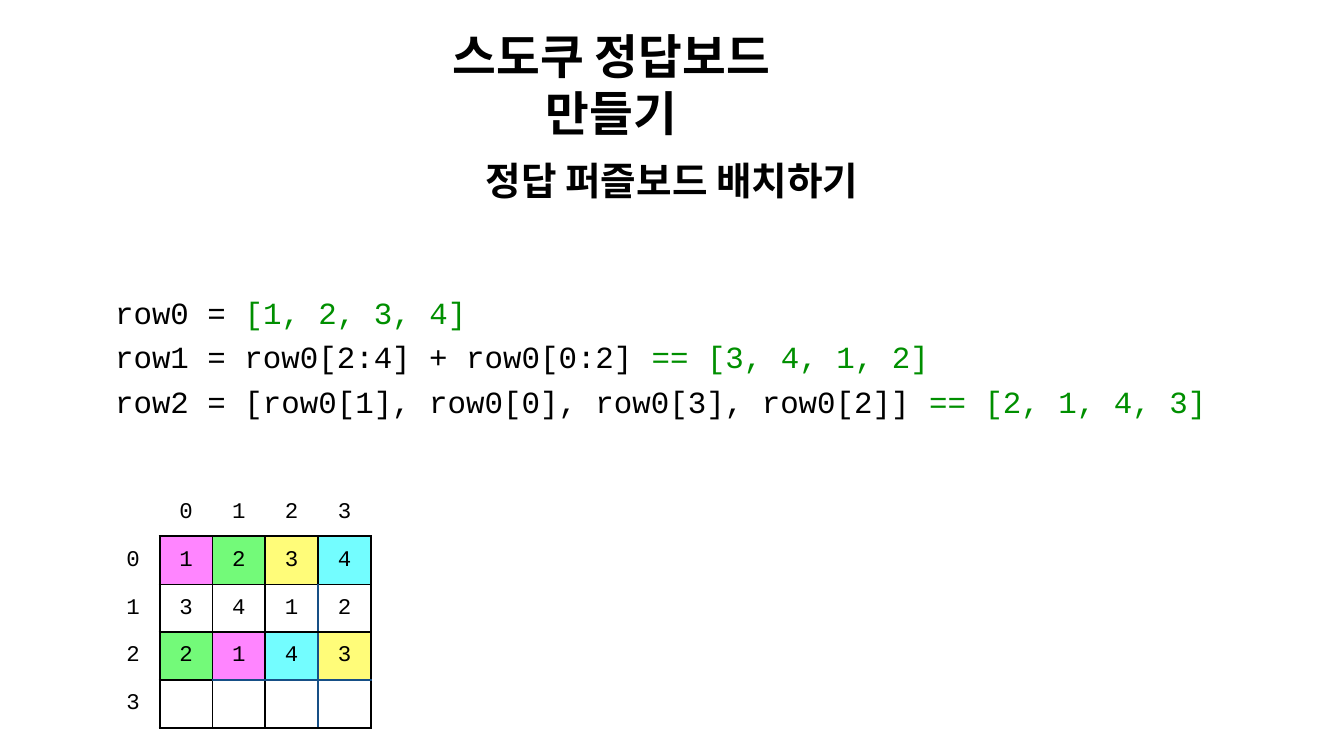
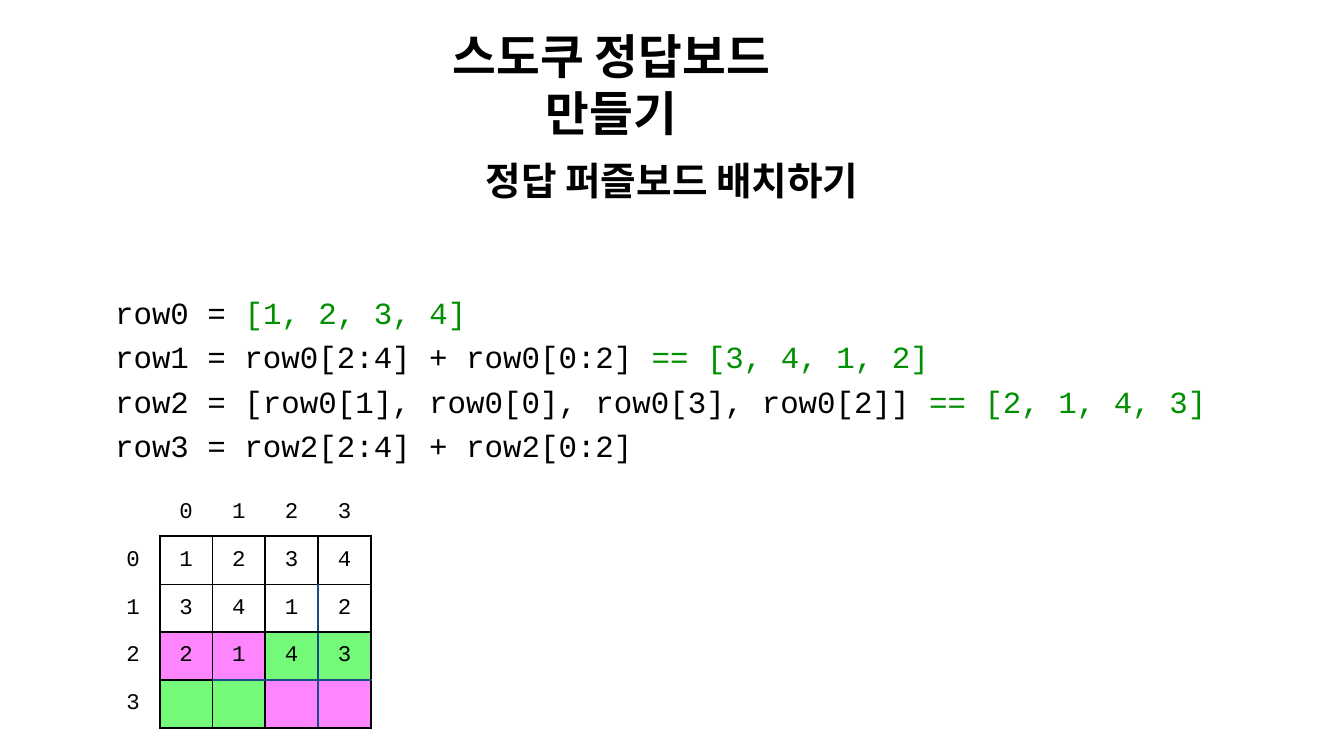
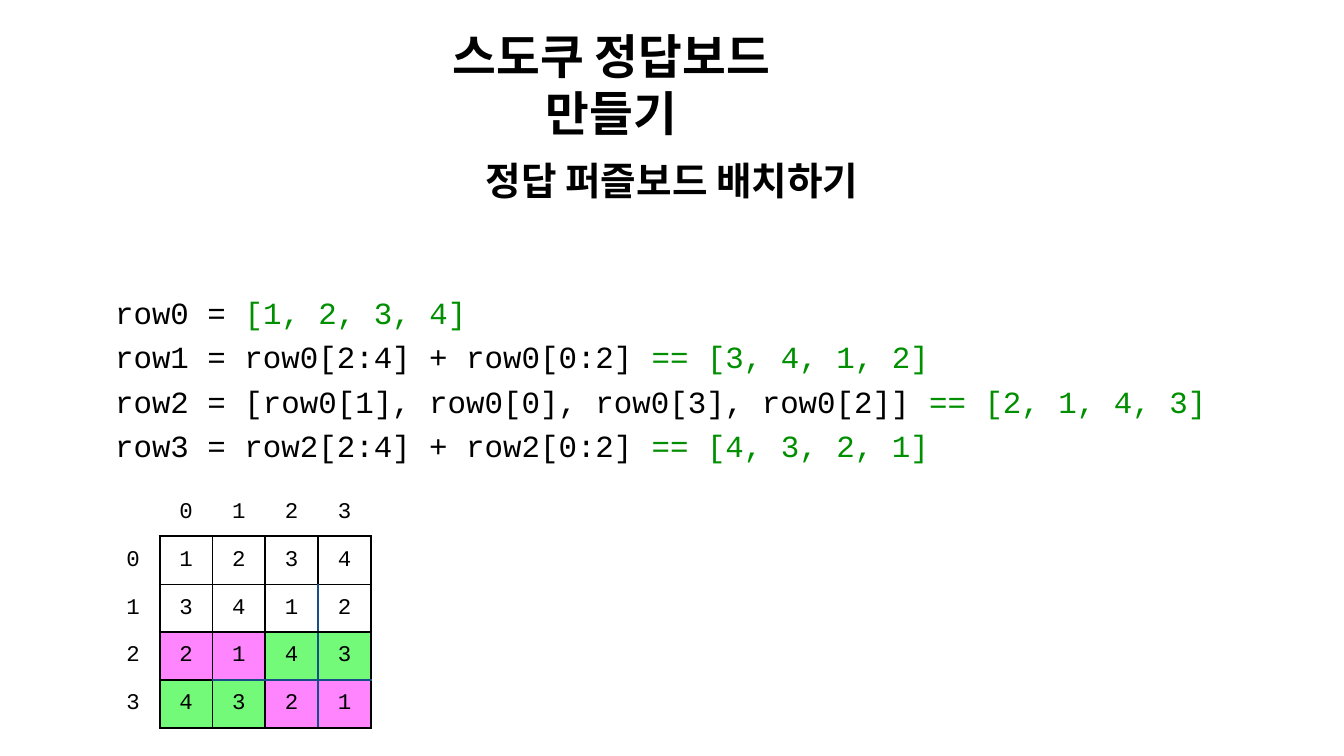
"""Build three slides that fill in a 4 x 4 sudoku answer board row by row."""
import lxml.etree
import pptx
import pptx.dml.color
import pptx.enum.shapes
import pptx.enum.text
import pptx.oxml.ns
import pptx.util

Pt = pptx.util.Pt
RGBColor = pptx.dml.color.RGBColor
ALIGN = pptx.enum.text.PP_ALIGN
ANCHOR = pptx.enum.text.MSO_ANCHOR
qn = pptx.oxml.ns.qn

BLACK = RGBColor(0x00, 0x00, 0x00)
WHITE = RGBColor(0xFF, 0xFF, 0xFF)
RESULT_GREEN = RGBColor(0x00, 0x8F, 0x00)
GRID_BLUE = RGBColor(0x16, 0x4F, 0x86)
PINK = RGBColor(0xFF, 0x85, 0xFF)
GREEN = RGBColor(0x73, 0xFA, 0x79)
YELLOW = RGBColor(0xFF, 0xFC, 0x79)
CYAN = RGBColor(0x73, 0xFD, 0xFF)

TITLE = "스도쿠 정답보드 만들기"
SUBTITLE = "정답 퍼즐보드 배치하기"
CODE = [
    ("row0 = ", "[1, 2, 3, 4]"),
    ("row1 = row0[2:4] + row0[0:2] ", "== [3, 4, 1, 2]"),
    ("row2 = [row0[1], row0[0], row0[3], row0[2]] ", "== [2, 1, 4, 3]"),
]
ROW3 = "row3 = row2[2:4] + row2[0:2]"
BOARD = ["1234", "3412", "2143"]
SWAPPED_PAIRS = {2: [PINK, GREEN, CYAN, YELLOW]}
SWAPPED_PAIRS = {0: [PINK, GREEN, YELLOW, CYAN], 2: [GREEN, PINK, CYAN, YELLOW]}
SWAPPED_HALVES = {2: [PINK, PINK, GREEN, GREEN], 3: [GREEN, GREEN, PINK, PINK]}
SLIDES = [
    {"code": CODE, "board": BOARD, "highlights": SWAPPED_PAIRS},
    {"code": CODE + [(ROW3, "")], "board": BOARD, "highlights": SWAPPED_HALVES},
    {"code": CODE + [(ROW3 + " ", "== [4, 3, 2, 1]")], "board": BOARD + ["4321"],
     "highlights": SWAPPED_HALVES},
]

SLIDE_SIZE = (1920, 1080)
TITLE_BOX = (640.8, 71.3, 637.9, 97.9)
SUBTITLE_BOX = (367.9, 214.6, 1184.4, 79.9)
CODE_BOX = (158.4, 382.3, 1602.7, 306.7)
TABLE_BOX = (152.6, 697.7, 377.3, 342)
BOARD_SIZE = 4
CODE_LINE_HEIGHT = 63
NO_STYLE = "{2D5ABB26-0587-4C30-8999-92F81FD0307C}"

TITLE_FONT = {"name": "Roboto", "size": Pt(68), "bold": True}
SUBTITLE_FONT = {"name": "Roboto", "size": Pt(55.2), "bold": True}
CODE_FONT = {"name": "Courier New", "size": Pt(44)}
CELL_FONT = {"name": "Courier New", "size": Pt(32)}


def margins(left, top, right, bottom):
    """Return the four margins as format values."""
    return {"margin_left": Pt(left), "margin_top": Pt(top),
            "margin_right": Pt(right), "margin_bottom": Pt(bottom)}


def apply_format(target, values):
    """Set every format value on the target."""
    for name, value in values.items():
        setattr(target, name, value)


def place(box):
    """Convert a box of numbers to lengths."""
    return [Pt(length) for length in box]


def add_run(paragraph, text, font, color=BLACK):
    """Add a formatted run of text."""
    run = paragraph.add_run()
    run.text = text
    apply_format(run.font, font)
    run.font.color.rgb = color


def format_frame(frame, anchor, frame_margins):
    """Wrap, anchor and inset a text frame."""
    apply_format(frame, {"word_wrap": True, "vertical_anchor": anchor,
                         "auto_size": pptx.enum.text.MSO_AUTO_SIZE.NONE, **frame_margins})


def add_headings(slide):
    """Fill the title and add the white subtitle band."""
    title = slide.shapes.title
    apply_format(title, dict(zip(("left", "top", "width", "height"), place(TITLE_BOX))))
    format_frame(title.text_frame, ANCHOR.MIDDLE, margins(0, 6, 172.8, 6))
    band = slide.shapes.add_shape(pptx.enum.shapes.MSO_SHAPE.RECTANGLE, *place(SUBTITLE_BOX))
    band.shadow.inherit = False
    band.fill.solid()
    band.fill.fore_color.rgb = WHITE
    band.line.fill.background()
    format_frame(band.text_frame, ANCHOR.BOTTOM, margins(4, 4, 4, 4))
    for shape, text, font in ((title, TITLE, TITLE_FONT), (band, SUBTITLE, SUBTITLE_FONT)):
        paragraph = shape.text_frame.paragraphs[0]
        paragraph.alignment = ALIGN.CENTER
        add_run(paragraph, text, font)


def add_code(slide, lines):
    """Add the code, leaving room below for the rows still to come."""
    frame = slide.shapes.add_textbox(*place(CODE_BOX)).text_frame
    missing = BOARD_SIZE - len(lines)
    format_frame(frame, ANCHOR.MIDDLE, margins(6, 6, 6, 6 + missing * CODE_LINE_HEIGHT))
    for index, (statement, result) in enumerate(lines):
        paragraph = frame.add_paragraph() if index else frame.paragraphs[0]
        paragraph.line_spacing = 1.2
        add_run(paragraph, statement, CODE_FONT)
        if result:
            add_run(paragraph, result, CODE_FONT, RESULT_GREEN)


def edge_style(edge, across):
    """Return width and colour of a grid line beside the given row or column."""
    return 2 if edge % 2 else 3, GRID_BLUE if edge == 3 and across >= 1 else BLACK


def cell_borders(row, column):
    """Return the borders of a cell, with the board starting at 0, 0."""
    borders = {}
    if row >= 0:
        if column >= 0:
            borders["lnL"] = edge_style(column, row)
        if column < BOARD_SIZE - 1 or column >= 0:
            borders["lnR"] = edge_style(column + 1, row)
    if column >= 0:
        if row >= 0:
            borders["lnT"] = edge_style(row, column)
        borders["lnB"] = edge_style(row + 1, column)
    return borders


def draw_borders(cell, borders):
    """Write the cell borders."""
    properties = cell._tc.get_or_add_tcPr()
    for tag, (width, color) in borders.items():
        line = lxml.etree.SubElement(properties, qn("a:" + tag), w=str(Pt(width)))
        fill = lxml.etree.SubElement(line, qn("a:solidFill"))
        lxml.etree.SubElement(fill, qn("a:srgbClr"), val=str(color))


def cell_text(board, row, column):
    """Return an index label or a board value."""
    if row < 0 or column < 0:
        return str(max(row, column)) if row != column else ""
    return board[row][column] if row < len(board) else ""


def add_board(slide, board, highlights):
    """Add the board with its row and column indexes."""
    count = BOARD_SIZE + 1
    frame = slide.shapes.add_table(count, count, *place(TABLE_BOX))
    table = frame.table
    apply_format(table, {"first_row": False, "horz_banding": False})
    table._tbl.tblPr.find(qn("a:tableStyleId")).text = NO_STYLE
    for row in range(-1, BOARD_SIZE):
        for column in range(-1, BOARD_SIZE):
            cell = table.cell(row + 1, column + 1)
            draw_borders(cell, cell_borders(row, column))
            cell.fill.solid()
            colors = highlights.get(row)
            cell.fill.fore_color.rgb = colors[column] if colors and column >= 0 else WHITE
            apply_format(cell, {"vertical_anchor": ANCHOR.MIDDLE, **margins(4, 4, 4, 4)})
            paragraph = cell.text_frame.paragraphs[0]
            paragraph.alignment = ALIGN.CENTER
            text = cell_text(board, row, column)
            if text:
                add_run(paragraph, text, CELL_FONT)


def main():
    """Build and save the presentation."""
    presentation = pptx.Presentation()
    presentation.slide_width, presentation.slide_height = place(SLIDE_SIZE)
    for content in SLIDES:
        slide = presentation.slides.add_slide(presentation.slide_layouts[5])
        add_headings(slide)
        add_code(slide, content["code"])
        add_board(slide, content["board"], content["highlights"])
    presentation.save("out.pptx")


if __name__ == "__main__":
    main()
